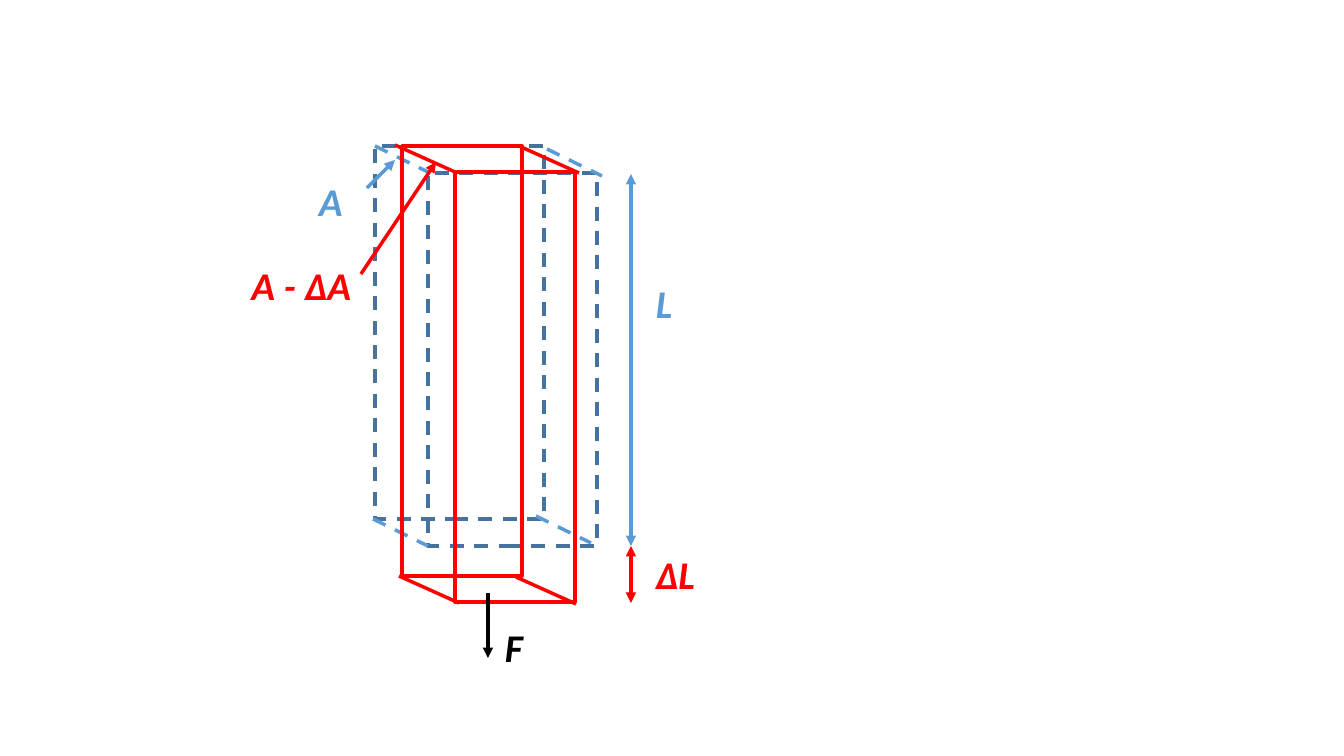
from pptx import Presentation
from pptx.dml.color import RGBColor
from pptx.enum.dml import MSO_LINE_DASH_STYLE as DASH
from pptx.enum.shapes import MSO_CONNECTOR as CONN, MSO_SHAPE as SHAPE
from pptx.enum.text import MSO_AUTO_SIZE as FIT, PP_ALIGN as ALIGN
from pptx.oxml.ns import qn
from pptx.util import Pt
from lxml.etree import SubElement

SCALE = 914400 / 100.8
COLORS = {"steel": "43739E", "blue": "5B9BD5", "red": "FF0000", "black": "000000"}


def px(n):
    return round(n * SCALE)


class Drawing:
    font, size, weight = "Calibri", 28, 2.5

    def __init__(self, slide):
        self.shapes = slide.shapes

    def color(self, name):
        return RGBColor.from_string(COLORS[name])

    def stroke(self, s, color, dashed):
        s.line.color.rgb = self.color(color)
        s.line.width = Pt(self.weight)
        if dashed:
            s.line.dash_style = DASH.DASH

    def rect(self, x, y, w, h, color, dashed=False):
        s = self.shapes.add_shape(SHAPE.RECTANGLE, px(x), px(y), px(w), px(h))
        s.shadow.inherit = False
        s.fill.background()
        self.stroke(s, color, dashed)

    def line(self, start, end, color, dashed=False, heads=()):
        s = self.shapes.add_connector(CONN.STRAIGHT, *map(px, (*start, *end)))
        self.stroke(s, color, dashed)
        for head in heads:
            SubElement(s.line._get_or_add_ln(), qn(f"a:{head}"), type="triangle")
        SubElement(s._element.spPr, qn("a:effectLst"))

    def label(self, text, x, y, color, w=73, align=ALIGN.LEFT):
        s = self.shapes.add_textbox(px(x), px(y), px(w), px(57))
        tf = s.text_frame
        tf.word_wrap = True
        tf.auto_size = FIT.SHAPE_TO_FIT_TEXT
        tf.text = text
        p = tf.paragraphs[0]
        p.alignment = align
        f = p.runs[0].font
        f.name, f.size, f.bold, f.italic = self.font, Pt(self.size), True, True
        f.color.rgb = self.color(color)

    def prism(self, faces, size, face_color, edges, depth, edge_color, dashed=False):
        for x, y in faces:
            self.rect(x, y, *size, face_color, dashed)
        for x, y in edges:
            self.line((x, y), (x + depth[0], y + depth[1]), edge_color, dashed)


prs = Presentation()
prs.slide_width, prs.slide_height = px(1344), px(756)
d = Drawing(prs.slides.add_slide(prs.slide_layouts[6]))

# Bar before loading
d.prism([(375, 146), (428, 173)], (169, 373), "steel",
        [(375, 146), (547, 149), (373, 519), (536, 516)], (55, 27), "blue", dashed=True)

# Stretched bar
d.prism([(455, 172), (402, 146)], (120, 430), "red",
        [(395, 145), (519, 146), (516, 577), (399, 576)], (60, 27), "red")

# Force, lengths and areas: arrows
ONE_WAY, TWO_WAY = ("tailEnd",), ("headEnd", "tailEnd")
for start, end, color, heads in [
    ((488, 593), (488, 658), "black", ONE_WAY),
    ((631, 174), (631, 546), "blue", TWO_WAY),
    ((631, 546), (631, 603), "red", TWO_WAY),
    ((367, 188), (395, 160), "blue", ONE_WAY),
    ((361, 274), (436, 162), "red", ONE_WAY),
]:
    d.line(start, end, color, heads=heads)

# Force, lengths and areas: labels
d.label("F", 495, 618, "black")
d.label("L", 646, 274, "blue")
d.label("ΔL", 646, 545, "red")
d.label("A", 309, 172, "blue")
d.label("A - ΔA", 231, 256, "red", w=130, align=ALIGN.RIGHT)

prs.save("out.pptx")
